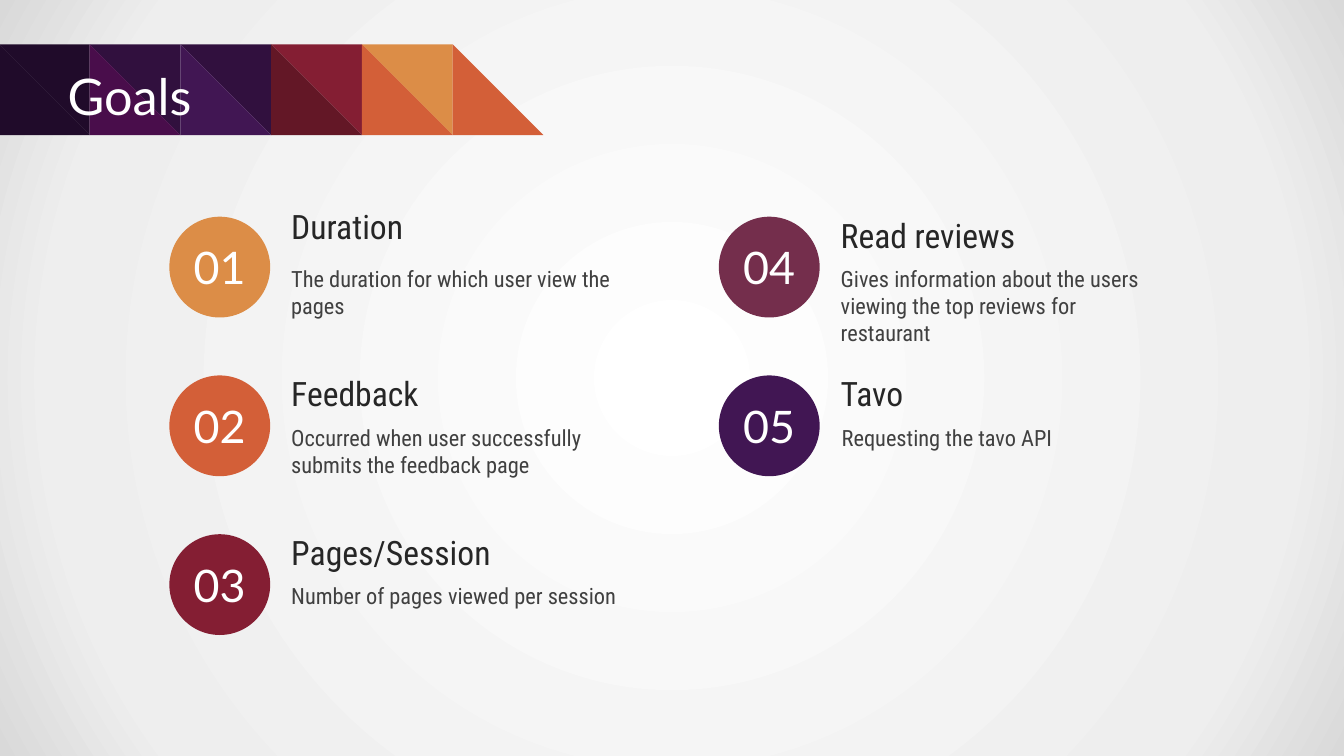
from dataclasses import dataclass
from typing import Optional

from pptx import Presentation
from pptx.dml.color import RGBColor
from pptx.enum.shapes import MSO_SHAPE
from pptx.enum.text import MSO_ANCHOR, MSO_AUTO_SIZE, PP_ALIGN
from pptx.oxml import parse_xml
from pptx.oxml.ns import nsdecls, qn
from pptx.shapes.autoshape import Shape
from pptx.slide import Slide
from pptx.util import Inches, Pt

DISPLAY_FONT, TEXT_FONT = "Lato", "Roboto Condensed"

# Banner grid: square tiles, each split along its diagonal
TILE, BANNER_LEFT, BANNER_TOP = 0.9, -0.01, 0.44

# Goal grid: position of the first badge and the pitch of columns and rows
GRID_LEFT, GRID_TOP = 1.68, 2.15
COLUMN, ROW = 5.45, 1.575
BADGE, TEXT_OFFSET, TEXT_WIDTH = 1.0, 1.11, 3.42
HEADING_OFFSET, DETAIL_OFFSET = -0.07, 0.43


@dataclass
class Tile:
    upper: Optional[str]
    lower: str


@dataclass
class Goal:
    column: int
    row: int
    color: str
    heading: str
    detail: str
    heading_raise: float = 0
    detail_indent: float = 0


TILES = [
    Tile("200B2A", "200B2A"),
    Tile("31103E", "490D4B"),
    Tile("31103E", "411653"),
    Tile("841E33", "631726"),
    Tile("DC8D47", "D35F38"),
    Tile(None, "D35F38"),
]

GOALS = [
    Goal(0, 0, "DC8D47", "Duration", "The duration for which user view the pages",
         heading_raise=0.09),
    Goal(0, 1, "D35F38", "Feedback",
         "Occurred when user successfully submits the feedback page"),
    Goal(0, 2, "841E33", "Pages/Session", "Number of pages viewed per session"),
    Goal(1, 0, "742E4C", "Read reviews",
         "Gives information about the users viewing the top reviews for restaurant"),
    Goal(1, 1, "411653", "Tavo", "Requesting the tavo API", detail_indent=0.01),
]


def rgb(value: str) -> RGBColor:
    return RGBColor.from_string(value)


def paint(shape: Shape, color: str) -> None:
    shape.shadow.inherit = False
    shape.fill.solid()
    shape.fill.fore_color.rgb = rgb(color)
    shape.line.fill.background()


def write(shape: Shape, text: str, font: str, size: float, color: str,
          align: PP_ALIGN = PP_ALIGN.LEFT) -> None:
    shape.text_frame.text = text
    para = shape.text_frame.paragraphs[0]
    para.alignment = align
    span = para.runs[0]
    span.font.name = font
    span.font.size = Pt(size)
    span.font.color.rgb = rgb(color)


def set_background(page: Slide) -> None:
    page.background.fill.gradient()
    gradient = page.element.find(".//" + qn("a:gradFill"))
    stops = "".join(
        f'<a:gs pos="{share * 1000}"><a:srgbClr val="{color}"/></a:gs>'
        for share, color in [(0, "FFFFFF"), (81, "EEEEEE"), (100, "D9D9D9")])
    radial = parse_xml(
        f'<a:gradFill {nsdecls("a")} rotWithShape="1"><a:gsLst>{stops}</a:gsLst>'
        '<a:path path="circle"><a:fillToRect l="50000" t="50000" r="50000" b="50000"/>'
        '</a:path></a:gradFill>')
    gradient.getparent().replace(gradient, radial)


def add_triangle(page: Slide, left: float, corner: tuple[float, float], color: str) -> None:
    start = (left, BANNER_TOP)
    end = (left + TILE, BANNER_TOP + TILE)
    builder = page.shapes.build_freeform(Inches(start[0]), Inches(start[1]), scale=1.0)
    builder.add_line_segments([(Inches(x), Inches(y)) for x, y in (end, corner)], close=True)
    paint(builder.convert_to_shape(), color)


def add_banner(page: Slide) -> None:
    for index, tile in enumerate(TILES):
        left = BANNER_LEFT + index * TILE
        if tile.upper:
            add_triangle(page, left, (left + TILE, BANNER_TOP), tile.upper)
        add_triangle(page, left, (left, BANNER_TOP + TILE), tile.lower)


def format_title(page: Slide) -> None:
    title = page.shapes.title
    title.left, title.top = Inches(0.67), Inches(0.56)
    title.width, title.height = Inches(12), Inches(0.78)
    frame = title.text_frame
    frame.margin_left = frame.margin_right = 0
    frame.margin_top = frame.margin_bottom = Inches(0.07)
    frame.vertical_anchor = MSO_ANCHOR.MIDDLE
    frame.auto_size = MSO_AUTO_SIZE.NONE
    write(title, "Goals", DISPLAY_FONT, 36, "FFFFFF")
    # Bring the title in front of the banner
    title.element.getparent().append(title.element)


def add_text(page: Slide, left: float, top: float, height: float,
             text: str, size: float, color: str) -> None:
    box = page.shapes.add_textbox(Inches(left), Inches(top), Inches(TEXT_WIDTH), Inches(height))
    box.text_frame.word_wrap = True
    write(box, text, TEXT_FONT, size, color)


def add_goal(page: Slide, number: int, goal: Goal) -> None:
    left = GRID_LEFT + goal.column * COLUMN
    top = GRID_TOP + goal.row * ROW
    text_left = left + TEXT_OFFSET
    add_text(page, text_left + goal.detail_indent, top + DETAIL_OFFSET, 0.64,
             goal.detail, 16, "404040")
    add_text(page, text_left, top + HEADING_OFFSET - goal.heading_raise, 0.5,
             goal.heading, 24, "262626")
    badge = page.shapes.add_shape(MSO_SHAPE.OVAL, Inches(left), Inches(top),
                                  Inches(BADGE), Inches(BADGE))
    paint(badge, goal.color)
    frame = badge.text_frame
    frame.margin_left = frame.margin_right = 0
    frame.vertical_anchor = MSO_ANCHOR.MIDDLE
    write(badge, f"{number:02d}", DISPLAY_FONT, 32, "FFFFFF", PP_ALIGN.CENTER)


def main() -> None:
    deck = Presentation()
    deck.slide_width, deck.slide_height = Inches(13.33), Inches(7.5)
    page = deck.slides.add_slide(deck.slide_layouts[5])
    set_background(page)
    add_banner(page)
    format_title(page)
    for number, goal in enumerate(GOALS, start=1):
        add_goal(page, number, goal)
    deck.save("out.pptx")


if __name__ == "__main__":
    main()
